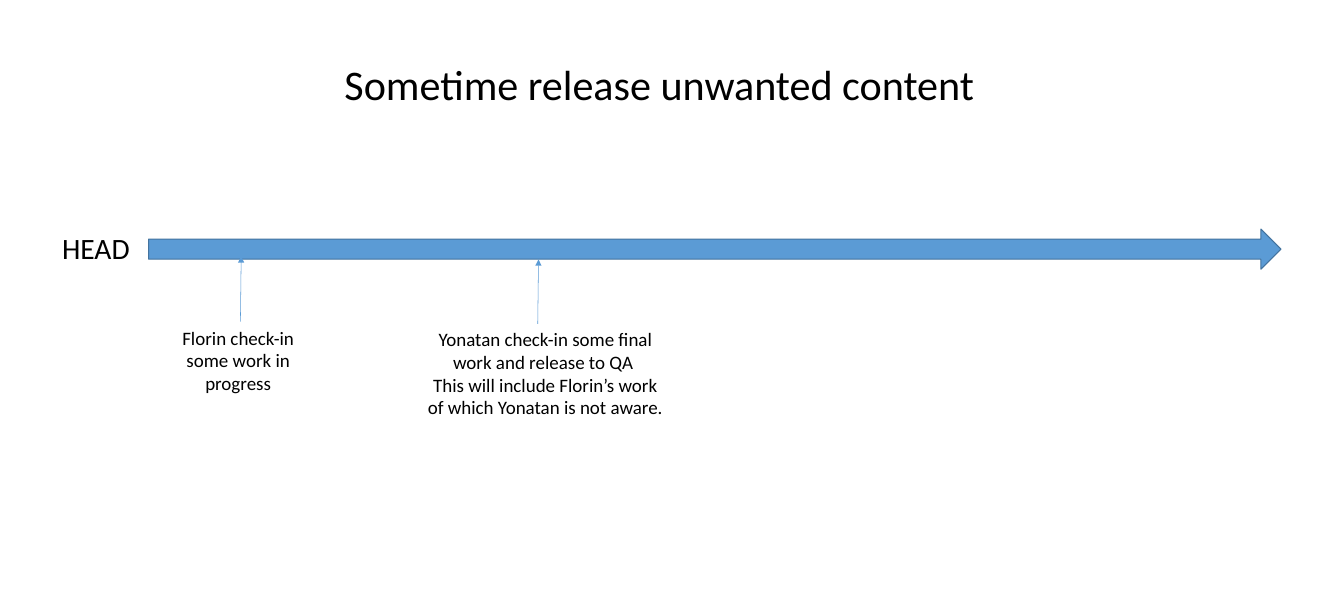
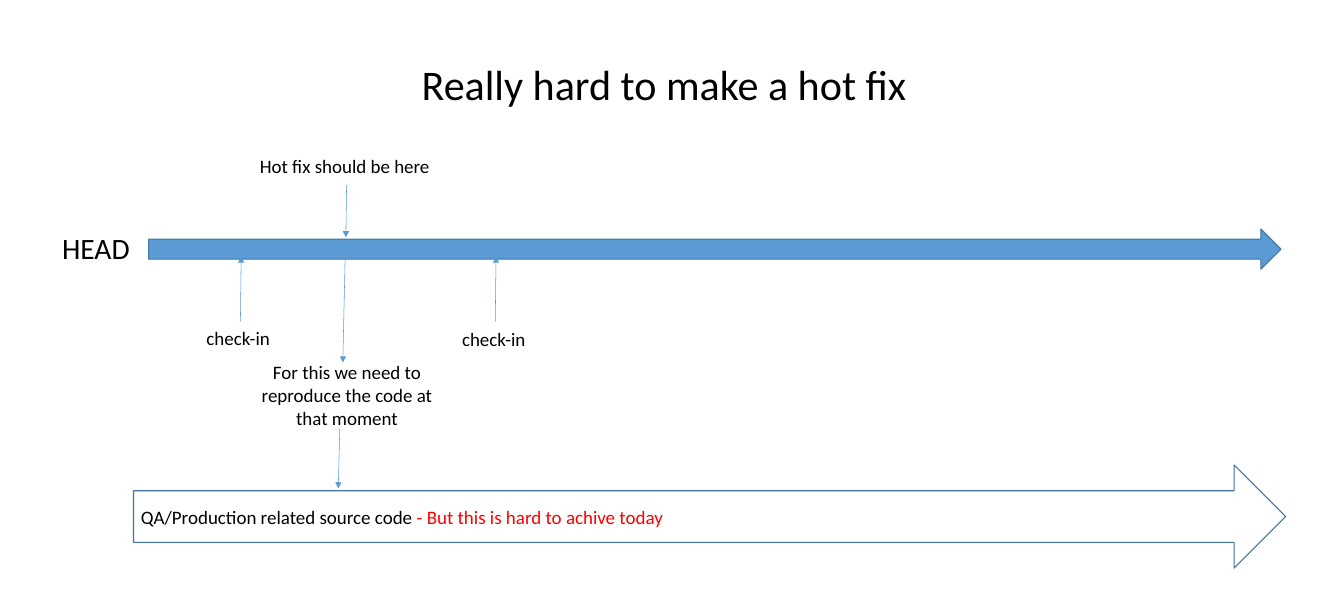
from lxml import etree
from pptx import Presentation
from pptx import util as u
from pptx.dml.color import RGBColor
from pptx.enum import shapes, text
from pptx.oxml import ns

PX = u.Inches(1) // 100
FONT = "Calibri"
COLORS = {
    "text": "000000",
    "blue": "5B9BD5",
    "outline": "43739E",
    "warning": "FF0000",
}


def px(*lengths):
    return [u.Emu(length * PX) for length in lengths]


def color(name):
    return RGBColor.from_string(COLORS[name])


def style(span, size, name="text"):
    span.font.name = FONT
    span.font.size = u.Pt(size)
    span.font.color.rgb = color(name)


def add_text(page, words, place, size=18, align=text.PP_ALIGN.CENTER, wrap=True):
    box = page.shapes.add_textbox(*px(*place))
    frame = box.text_frame
    frame.word_wrap = wrap
    frame.auto_size = text.MSO_AUTO_SIZE.SHAPE_TO_FIT_TEXT
    frame.text = words
    for para in frame.paragraphs:
        para.alignment = align
        for span in para.runs:
            style(span, size)


def add_block_arrow(page, place, fill=None):
    arrow = page.shapes.add_shape(shapes.MSO_SHAPE.RIGHT_ARROW, *px(*place))
    arrow.shadow.inherit = False
    if fill:
        arrow.fill.solid()
        arrow.fill.fore_color.rgb = color(fill)
    else:
        arrow.fill.background()
    arrow.line.color.rgb = color("outline")
    arrow.line.width = u.Pt(1)
    return arrow


def add_pointer(page, start, end):
    pointer = page.shapes.add_connector(
        shapes.MSO_CONNECTOR.STRAIGHT, *px(*start, *end))
    pointer.line.color.rgb = color("blue")
    pointer.line.width = u.Pt(0.5)
    etree.SubElement(pointer.get_or_add_ln(), ns.qn("a:tailEnd"), type="triangle")
    etree.SubElement(pointer.element.spPr, ns.qn("a:effectLst"))


def add_timeline_page(deck, title):
    page = deck.slides.add_slide(deck.slide_layouts[6])
    add_block_arrow(page, (196, 302, 1493, 53), "blue")
    add_text(page, title, (41, 72, 1669, 77), 40)
    add_text(page, "HEAD", (72, 298, 110, 57), 28, text.PP_ALIGN.LEFT, False)
    return page


def add_events(page, events):
    for start, end, words, place in events:
        add_pointer(page, start, end)
        if words:
            add_text(page, words, place)


def add_source_arrow(page):
    arrow = add_block_arrow(page, (176, 613, 1519, 136))
    frame = arrow.text_frame
    frame.word_wrap = True
    frame.vertical_anchor = text.MSO_ANCHOR.MIDDLE
    para = frame.paragraphs[0]
    para.text = "QA/Production related source code"
    para.alignment = text.PP_ALIGN.LEFT
    style(para.runs[0], 18)
    span = para.add_run()
    span.text = " - But this is hard to achive today"
    style(span, 18, "warning")


def main():
    deck = Presentation()
    deck.slide_width, deck.slide_height = px(1772, 787)

    release = add_timeline_page(deck, "Sometime release unwanted content ")
    add_events(release, [
        ((317, 424), (318, 338), "Florin check-in some work in progress",
         (210, 425, 208, 101)),
        ((709, 427), (710, 342),
         "Yonatan check-in some final work and release to QA \n"
         "This will include Florin’s work of which Yonatan is not aware.",
         (553, 427, 332, 131)),
    ])

    hot_fix = add_timeline_page(deck, "Really hard to make a hot fix")
    add_events(hot_fix, [
        ((317, 424), (318, 338), "check-in", (210, 425, 208, 40)),
        ((653, 424), (654, 338), "check-in", (553, 427, 196, 40)),
        ((457, 244), (456, 313), "Hot fix should be here", (330, 199, 249, 40)),
        ((455, 343), (452, 478),
         "For this we need to reproduce the code at that moment",
         (333, 471, 249, 101)),
        ((448, 565), (446, 644), None, None),
    ])
    add_source_arrow(hot_fix)

    deck.save("out.pptx")


if __name__ == "__main__":
    main()
